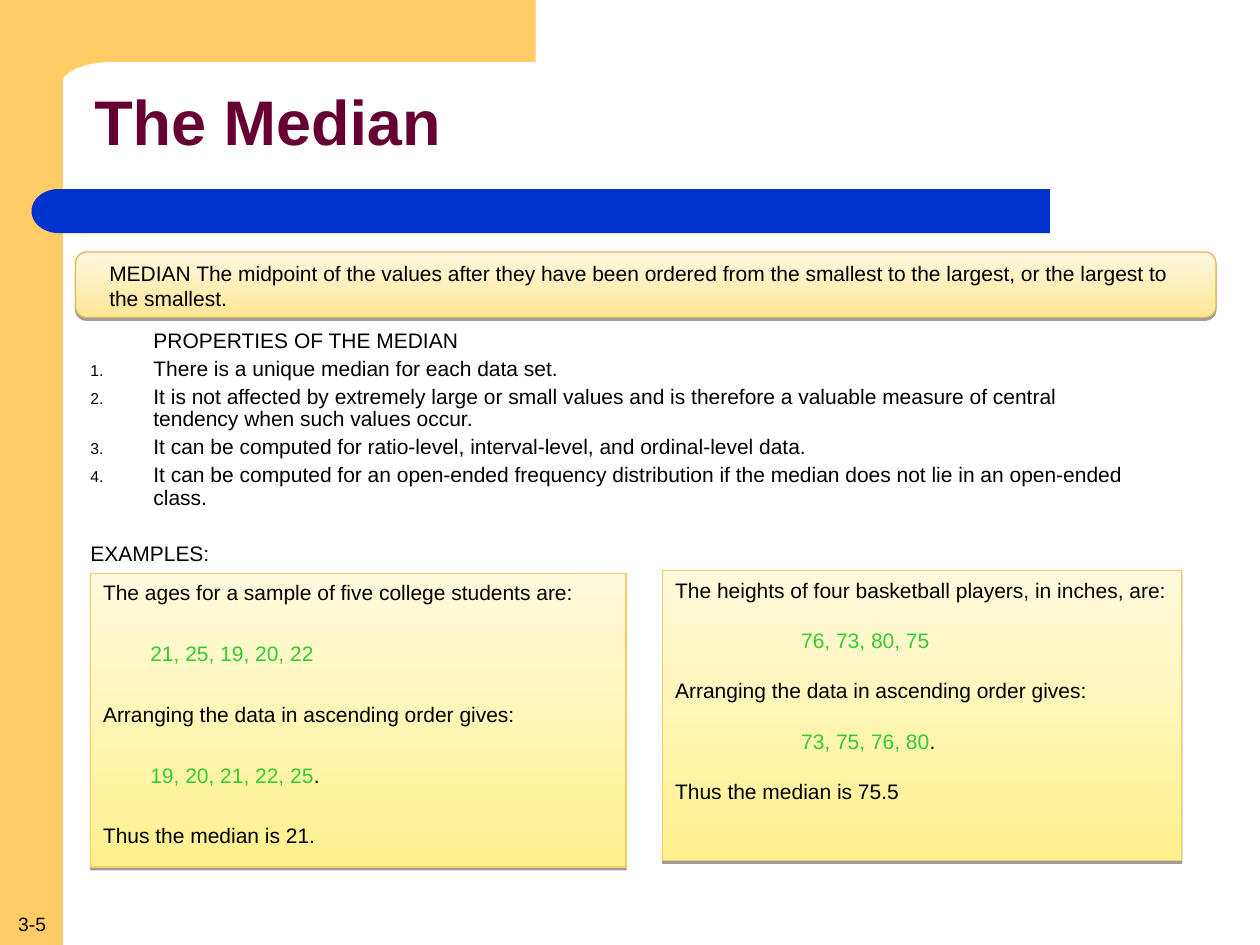
from lxml import etree
from pptx import Presentation
from pptx import util as u
from pptx.dml.color import RGBColor
from pptx.enum import shapes, text
from pptx.oxml.ns import qn

COLORS = {
    "band": "FFCC66", "bar": "0033CC", "title": "660033", "black": "000000",
    "data": "33CC33", "definition_low": "FFE795", "definition_high": "FFF8E0",
    "definition_line": "E5B656", "example_low": "FFF18E",
    "example_high": "FFFADD", "example_line": "FDC960",
}


class SlideBuilder:
    """Draw styled elements on one slide, with lengths in points."""

    font = "Arial"
    size = 12

    def __init__(self, presentation):
        self.slide = presentation.slides.add_slide(presentation.slide_layouts[6])

    def color(self, name):
        return RGBColor.from_string(COLORS[name])

    def flat(self, shape, fill):
        shape.shadow.inherit = False
        shape.fill.solid()
        shape.fill.fore_color.rgb = self.color(fill)
        shape.line.fill.background()
        return shape

    def shape(self, kind, box):
        return self.slide.shapes.add_shape(kind, *map(u.Pt, box))

    def block(self, kind, box, fill):
        return self.flat(self.shape(kind, box), fill)

    def outline(self, points, fill):
        builder = self.slide.shapes.build_freeform(*map(u.Pt, points[0]))
        builder.add_line_segments([tuple(map(u.Pt, point)) for point in points[1:]])
        return self.flat(builder.convert_to_shape(), fill)

    def panel(self, kind, box, style):
        shape = self.shape(kind, box)
        shape.fill.gradient()
        shape.fill.gradient_angle = 90
        for stop, end in zip(shape.fill.gradient_stops, ("low", "high")):
            stop.color.rgb = self.color(f"{style}_{end}")
        shape.line.color.rgb = self.color(f"{style}_line")
        shape.line.width = u.Pt(0.75)
        shape.shadow.inherit = False
        effects = shape._element.spPr.find(qn("a:effectLst"))
        shadow = etree.SubElement(effects, qn("a:outerShdw"), dist=str(u.Pt(1.6)),
                                  dir="5400000", rotWithShape="0")
        shade = etree.SubElement(shadow, qn("a:srgbClr"), val=COLORS["black"])
        etree.SubElement(shade, qn("a:alpha"), val="38000")
        return self.frame(shape)

    def frame(self, shape, anchor=text.MSO_ANCHOR.TOP, wrap=True):
        frame = shape.text_frame
        frame.word_wrap = wrap
        frame.vertical_anchor = anchor
        return frame

    def text_box(self, box, **options):
        return self.frame(self.slide.shapes.add_textbox(*map(u.Pt, box)), **options)

    def paragraph(self, frame, *runs, size=None, bold=False, before=0, spacing=None,
                  left=0, hanging=0, numbered=False, align=text.PP_ALIGN.LEFT):
        paragraph = frame.paragraphs[0]
        if paragraph.runs:
            paragraph = frame.add_paragraph()
        paragraph.alignment = align
        paragraph.space_before = u.Pt(before)
        if spacing:
            paragraph.line_spacing = spacing
        properties = paragraph._p.get_or_add_pPr()
        properties.set("marL", str(u.Pt(left)))
        properties.set("indent", str(u.Pt(-hanging)))
        if numbered:
            etree.SubElement(properties, qn("a:buSzPct"), val="75000")
            etree.SubElement(properties, qn("a:buAutoNum"), type="arabicPeriod")
        for wording, color in runs:
            run = paragraph.add_run()
            run.text = wording
            run.font.name = self.font
            run.font.size = u.Pt(size or self.size)
            run.font.bold = bold
            run.font.color.rgb = self.color(color)

    def example(self, box, intro, values, ordered, result, gap, indent):
        frame = self.panel(shapes.MSO_SHAPE.RECTANGLE, box, "example")
        lines = [
            (0, [(intro, "black")]),
            (indent, [(values, "data")]),
            (0, [("Arranging the data in ascending order gives:", "black")]),
            (indent, [(ordered, "data"), (".", "black")]),
            (0, [(result, "black")]),
        ]
        for index, (left, runs) in enumerate(lines):
            self.paragraph(frame, *runs, left=left, before=gap if index else 0)


def main():
    presentation = Presentation()
    presentation.slide_width, presentation.slide_height = u.Pt(720), u.Pt(540)
    builder = SlideBuilder(presentation)
    preset = shapes.MSO_SHAPE

    builder.block(preset.RECTANGLE, (0, 0, 36, 540), "band")
    builder.outline([(0, 0), (306, 0), (306, 35.3), (62.6, 35.3), (54.7, 36),
                     (49, 37.2), (44, 38.9), (40, 41), (36.7, 43.9),
                     (34.6, 46.4), (33.8, 49), (33.8, 54), (0, 54)], "band")
    builder.block(preset.RECTANGLE, (48, 108, 552, 25.2), "bar")
    cap = builder.block(preset.FLOWCHART_DELAY, (18, 108, 31, 25.2), "bar")
    cap.rotation = 180

    number = builder.text_box((-18.7, 517.7, 74.2, 20.9), wrap=False)
    builder.paragraph(number, ("3-5", "black"), size=11, align=text.PP_ALIGN.CENTER)
    title = builder.text_box((46.8, 40.3, 614.9, 62.6), anchor=text.MSO_ANCHOR.MIDDLE)
    builder.paragraph(title, ("The Median", "title"), size=36, bold=True, spacing=0.9)

    body = builder.text_box((44.6, 183.6, 618.5, 209.5))
    builder.paragraph(body, ("PROPERTIES OF THE MEDIAN", "black"), left=36, before=3)
    for wording in (
        "There is a unique median for each data set.",
        "It is not affected by extremely large or small values and is therefore "
        "a valuable measure of central tendency when such values occur.",
        "It can be computed for ratio-level, interval-level, and ordinal-level data.",
        "It can be computed for an open-ended frequency distribution if the median "
        "does not lie in an open-ended class.",
    ):
        builder.paragraph(body, (wording, "black"), left=36, hanging=36,
                          before=3, spacing=0.9, numbered=True)
    builder.paragraph(body, ("EXAMPLES:", "black"), before=19, spacing=0.9)

    builder.panel(preset.ROUNDED_RECTANGLE, (43.2, 144, 651.6, 37.4), "definition")
    definition = builder.text_box((55.4, 145.4, 631.4, 36))
    builder.paragraph(definition, (
        "MEDIAN The midpoint of the values after they have been ordered from the "
        "smallest to the largest, or the largest to the smallest.", "black"))

    builder.example((51.8, 327.6, 306, 167.8),
                    "The ages for a sample of five college students are:",
                    "21, 25, 19, 20, 22", "19, 20, 21, 22, 25",
                    "Thus the median is 21.", gap=20.4, indent=27)
    builder.example((378.7, 326.2, 296.6, 165.6),
                    "The heights of four basketball players, in inches, are:",
                    "76, 73, 80, 75", "73, 75, 76, 80",
                    "Thus the median is 75.5", gap=14.4, indent=72)
    presentation.save("out.pptx")


if __name__ == "__main__":
    main()
